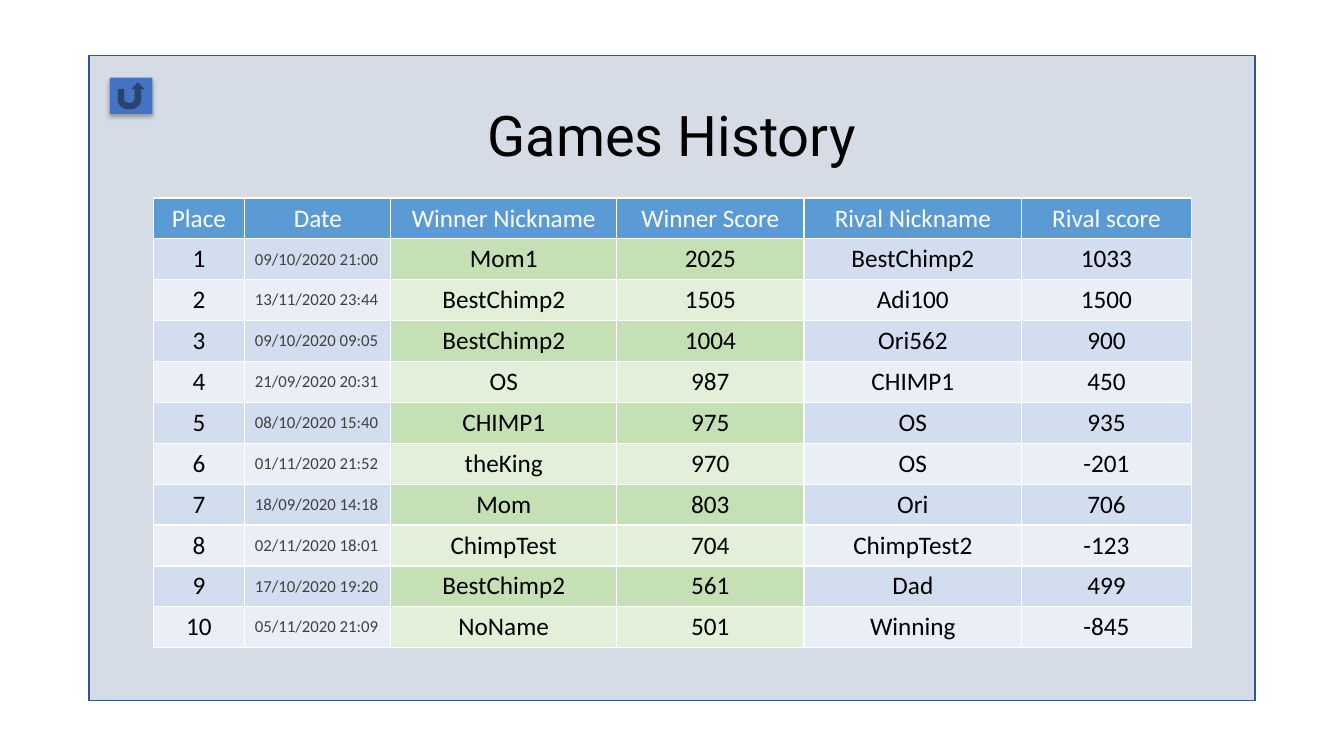
from lxml import etree
from pptx import Presentation
from pptx import util as u
from pptx.dml.color import RGBColor
from pptx.enum import shapes, text
from pptx.oxml import ns, parse_xml

COLORS = {
    "panel": "D6DCE5", "panel_line": "325491", "button": "4472C4",
    "header": "5B9BD5", "white": "FFFFFF", "black": "000000", "date": "404040",
}
# Odd and even row fills
PLAIN_BANDS = ("D2DEEF", "EAEFF7")
WINNER_BANDS = ("C5E0B4", "E2F0D9")
WINNER_COLUMNS = (2, 3)
DATE_COLUMN = 1

COLUMN_WIDTHS = (2.31, 3.68, 5.69, 4.72, 5.49, 4.27)
ROW_HEIGHT = 1.03
HEADINGS = ("Place", "Date", "Winner Nickname", "Winner Score",
            "Rival Nickname", "Rival score")
GAMES = (
    ("09/10/2020 21:00", "Mom1", 2025, "BestChimp2", 1033),
    ("13/11/2020 23:44", "BestChimp2", 1505, "Adi100", 1500),
    ("09/10/2020 09:05", "BestChimp2", 1004, "Ori562", 900),
    ("21/09/2020 20:31", "OS", 987, "CHIMP1", 450),
    ("08/10/2020 15:40", "CHIMP1", 975, "OS", 935),
    ("01/11/2020 21:52", "theKing", 970, "OS", -201),
    ("18/09/2020 14:18", "Mom", 803, "Ori", 706),
    ("02/11/2020 18:01", "ChimpTest", 704, "ChimpTest2", -123),
    ("17/10/2020 19:20", "BestChimp2", 561, "Dad", 499),
    ("05/11/2020 21:09", "NoName", 501, "Winning", -845),
)


def rgb(value):
    return RGBColor.from_string(value)


def write(frame, words, size=18, font="Calibri", color=COLORS["black"],
          align=text.PP_ALIGN.CENTER):
    para = frame.paragraphs[0]
    para.alignment = align
    span = para.add_run()
    span.text = words
    span.font.size = u.Pt(size)
    span.font.name = font
    span.font.bold = False
    span.font.color.rgb = rgb(color)


def add_box(page, kind, left, top, width, height, fill, line=None):
    box = page.shapes.add_shape(kind, u.Cm(left), u.Cm(top), u.Cm(width), u.Cm(height))
    box.shadow.inherit = False
    box.fill.solid()
    box.fill.fore_color.rgb = rgb(fill)
    if line:
        box.line.color.rgb = rgb(line)
        box.line.width = u.Pt(1)
    else:
        box.line.fill.background()
    return box


def add_shadow(box):
    effects = box._element.spPr.find(ns.qn("a:effectLst"))
    effects.append(parse_xml(
        f'<a:outerShdw {ns.nsdecls("a")} blurRad="{u.Pt(3.5)}" dist="{u.Pt(2.2)}" '
        f'dir="5400000" rotWithShape="0"><a:srgbClr val="{COLORS["black"]}">'
        '<a:alpha val="32000"/></a:srgbClr></a:outerShdw>'))


def add_title(page, words):
    box = page.shapes.add_textbox(u.Cm(11.99), u.Cm(2.41), u.Cm(9.88), u.Cm(1.96))
    box.text_frame.word_wrap = False
    write(box.text_frame, words, size=40, font="Roboto")


def set_borders(cell, color):
    properties = cell._tc.get_or_add_tcPr()
    for index, side in enumerate(("lnL", "lnR", "lnT", "lnB")):
        line = etree.Element(ns.qn(f"a:{side}"), w=str(u.Pt(1)))
        fill = etree.SubElement(line, ns.qn("a:solidFill"))
        etree.SubElement(fill, ns.qn("a:srgbClr"), val=color)
        properties.insert(index, line)


def fill_cell(cell, words, fill, **text_format):
    cell.vertical_anchor = text.MSO_ANCHOR.MIDDLE
    cell.fill.solid()
    cell.fill.fore_color.rgb = rgb(fill)
    set_borders(cell, COLORS["white"])
    write(cell.text_frame, words, **text_format)


def add_history(page, left, top):
    row_count = len(GAMES) + 1
    table = page.shapes.add_table(
        row_count, len(HEADINGS), u.Cm(left), u.Cm(top),
        u.Cm(sum(COLUMN_WIDTHS)), u.Cm(ROW_HEIGHT * row_count)).table
    table.horz_banding = False
    for column, width in zip(table.columns, COLUMN_WIDTHS):
        column.width = u.Cm(width)
    for row in table.rows:
        row.height = u.Cm(ROW_HEIGHT)

    for column, heading in enumerate(HEADINGS):
        fill_cell(table.cell(0, column), heading, COLORS["header"], color=COLORS["white"])
    for place, game in enumerate(GAMES, start=1):
        for column, value in enumerate((place, *game)):
            bands = WINNER_BANDS if column in WINNER_COLUMNS else PLAIN_BANDS
            text_format = {}
            if column == DATE_COLUMN:
                text_format = dict(size=12, color=COLORS["date"], align=text.PP_ALIGN.LEFT)
            fill_cell(table.cell(place, column), str(value),
                      bands[(place - 1) % 2], **text_format)


def main():
    deck = Presentation()
    deck.slide_width, deck.slide_height = u.Cm(33.87), u.Cm(19.05)
    page = deck.slides.add_slide(deck.slide_layouts[6])

    # Background panel and title
    add_box(page, shapes.MSO_SHAPE.RECTANGLE, 2.24, 1.4, 29.39, 16.26,
            COLORS["panel"], COLORS["panel_line"])
    add_title(page, "Games History")

    # Results
    add_history(page, 3.86, 4.99)

    # Return button
    button = add_box(page, shapes.MSO_SHAPE.ACTION_BUTTON_RETURN,
                     2.77, 1.96, 1.07, 0.91, COLORS["button"])
    add_shadow(button)

    deck.save("out.pptx")


if __name__ == "__main__":
    main()
